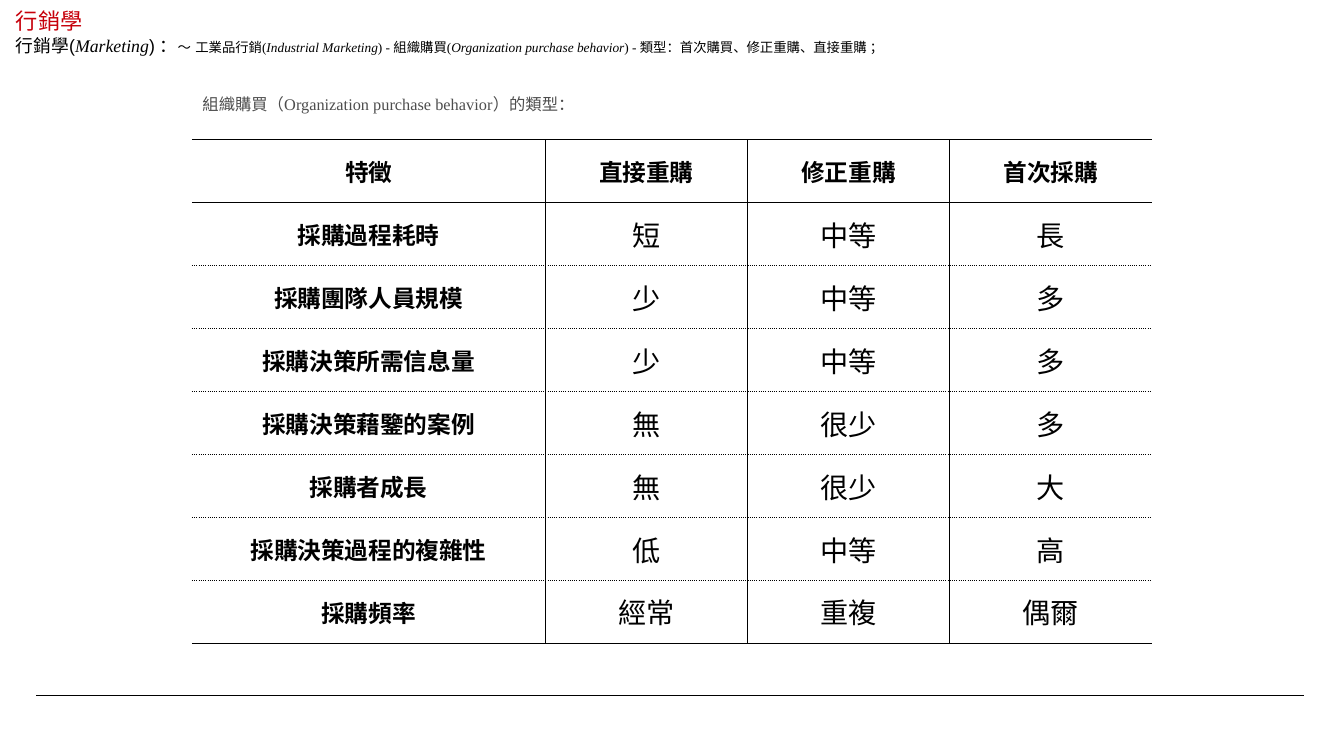
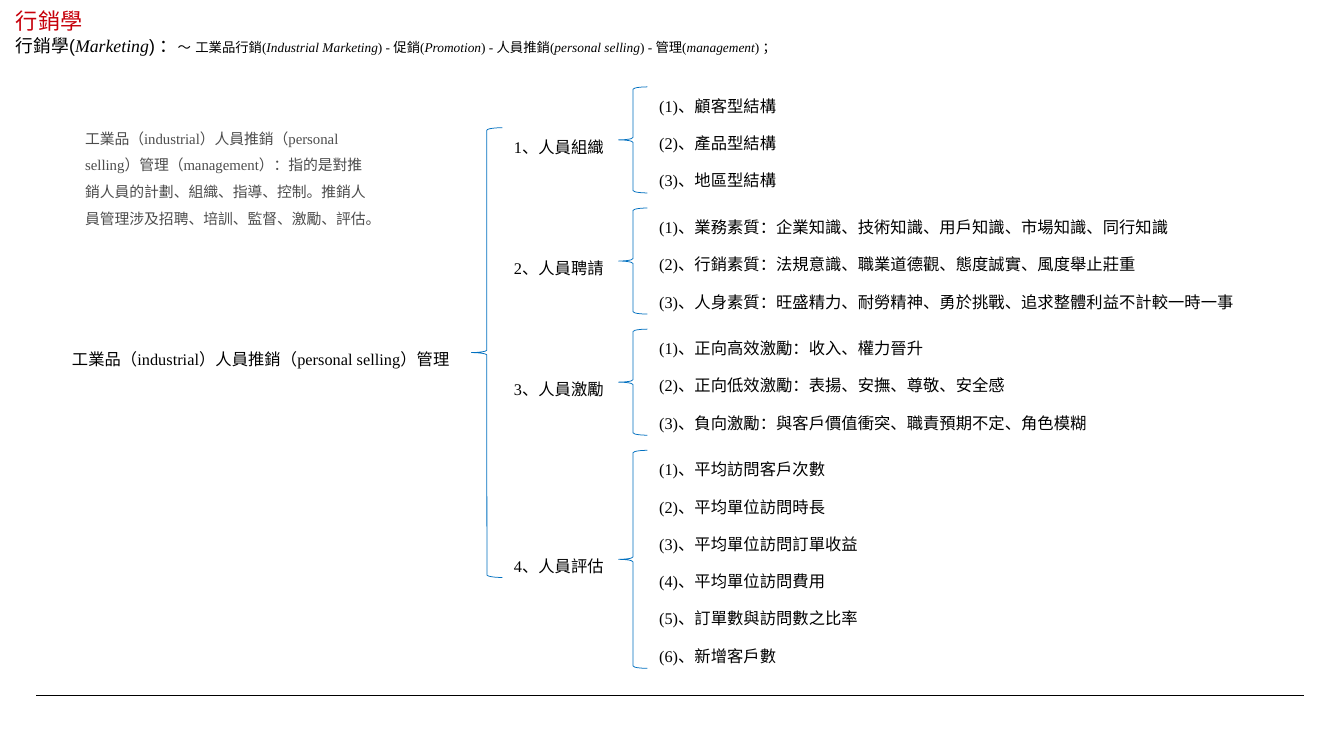
from lxml import etree
from pptx import Presentation
from pptx.dml.color import RGBColor
from pptx.enum import shapes, text
from pptx.oxml import ns
from pptx.util import Pt

BLACK, RED, GRAY, BLUE, WHITE = "000000", "C7000B", "4D4D4D", "0070C0", "FFFFFF"
SANS, SERIF, CJK = "Arial", "Times New Roman", "Noto Sans CJK SC"
LEFT, CENTER = text.PP_ALIGN.LEFT, text.PP_ALIGN.CENTER
LINE_H = 24.5


def rgb(value):
    return RGBColor.from_string(value)


def style(font, size, name, color=BLACK, bold=None):
    font.size, font.name, font.bold = Pt(size), name, bold
    font.color.rgb = rgb(color)


class Deck:
    """Holds the shared style and the current slide."""

    def __init__(self):
        self.prs = Presentation()
        self.prs.slide_width, self.prs.slide_height = Pt(907.2), Pt(510.5)

    def slide(self, topic):
        self.s = self.prs.slides.add_slide(self.prs.slide_layouts[6])
        self.line(24.5, 469.5, 880, 469.5)
        title = self.text("行銷學", 3.6, 5, 671, 17.3, 15, RED, name=SANS, spacing=None)
        title.vertical_anchor = text.MSO_ANCHOR.MIDDLE
        p = self.text("", 3.6, 18.7, 751, 23, 9, spacing=None).paragraphs[0]
        lead = [("行銷學(", 12, SANS, False), ("Marketing", 12, SERIF, True),
                (") ：", 12, SANS, False), ("～", 9, SANS, False), (" ", 13, SANS, False)]
        trail = [(part, 9, SERIF, i % 2 == 1) for i, part in enumerate(topic.split("*"))]
        for content, size, name, italic in lead + trail:
            r = p.add_run()
            r.text = content
            style(r.font, size, name)
            r.font.italic = italic

    def line(self, x1, y1, x2, y2):
        c = self.s.shapes.add_connector(shapes.MSO_CONNECTOR.STRAIGHT,
                                        Pt(x1), Pt(y1), Pt(x2), Pt(y2))
        c.line.color.rgb, c.line.width = rgb(BLACK), Pt(0.5)
        etree.SubElement(c._element.spPr, ns.qn("a:effectLst"))

    def text(self, content, x, y, w, h=LINE_H, size=11, color=BLACK,
             name=SERIF, align=LEFT, spacing=1.5):
        tf = self.s.shapes.add_textbox(Pt(x), Pt(y), Pt(w), Pt(h)).text_frame
        tf.word_wrap = True
        p = tf.paragraphs[0]
        p.text, p.alignment, p.line_spacing = content, align, spacing
        style(p.font, size, name, color)
        return tf

    def brace(self, x, y, w, h):
        sp = self.s.shapes.add_shape(shapes.MSO_SHAPE.LEFT_BRACE, Pt(x), Pt(y), Pt(w), Pt(h))
        sp.shadow.inherit = False
        sp.fill.background()
        sp.line.color.rgb, sp.line.width = rgb(BLUE), Pt(0.5)

    def border(self, cell, side, width, dash="solid"):
        ln = etree.SubElement(cell._tc.get_or_add_tcPr(), ns.qn(f"a:ln{side}"))
        if not width:
            etree.SubElement(ln, ns.qn("a:noFill"))
            return
        ln.set("w", str(Pt(width)))
        fill = etree.SubElement(ln, ns.qn("a:solidFill"))
        etree.SubElement(fill, ns.qn("a:srgbClr"), val=BLACK)
        etree.SubElement(ln, ns.qn("a:prstDash"), val=dash)

    def table(self, rows, x, y, widths, row_h):
        n = len(rows)
        frame = self.s.shapes.add_table(n, len(widths), Pt(x), Pt(y),
                                        Pt(sum(widths)), Pt(row_h * n))
        tbl = frame.table
        tbl.first_row = tbl.horz_banding = False
        across = [(1,), (0.75,)] + [(0.25, "sysDot")] * (n - 2) + [(1,)]
        down = [0, 0.75] + [0.5] * (len(widths) - 2) + [0]
        for col, width in zip(tbl.columns, widths):
            col.width = Pt(width)
        for i, row in enumerate(rows):
            tbl.rows[i].height = Pt(row_h)
            for j, content in enumerate(row):
                cell = tbl.cell(i, j)
                cell.margin_left = cell.margin_right = Pt(5)
                cell.margin_top = cell.margin_bottom = 0
                cell.vertical_anchor = text.MSO_ANCHOR.MIDDLE
                self.border(cell, "L", down[j])
                self.border(cell, "R", down[j + 1])
                self.border(cell, "T", *across[i])
                self.border(cell, "B", *across[i + 1])
                cell.fill.solid()
                cell.fill.fore_color.rgb = rgb(WHITE)
                p = cell.text_frame.paragraphs[0]
                p.text, p.alignment = content, CENTER
                heading = i == 0 or j == 0
                style(p.font, 16 if heading else 19, CJK, bold=heading)

    def group(self, label, items, y, step=25.2):
        for i, item in enumerate(items):
            self.text(f"({i + 1})、{item}", 437.8, y + i * step, 419)
        height = len(items) * step
        self.brace(417.6, y + 4, 19.4, height - 4)
        label_y = y + 2 + (height - LINE_H) / 2
        self.text(label, 339.8, label_y, 78)
        return label_y, y + height + 6.2


PURCHASE_TYPES = [
    ("特徵", "直接重購", "修正重購", "首次採購"),
    ("採購過程耗時", "短", "中等", "長"),
    ("採購團隊人員規模", "少", "中等", "多"),
    ("採購決策所需信息量", "少", "中等", "多"),
    ("採購決策藉鑒的案例", "無", "很少", "多"),
    ("採購者成長", "無", "很少", "大"),
    ("採購決策過程的複雜性", "低", "中等", "高"),
    ("採購頻率", "經常", "重複", "偶爾"),
]

STAFF_TOPICS = {
    "1、人員組織": ["顧客型結構", "產品型結構", "地區型結構"],
    "2、人員聘請": [
        "業務素質：企業知識、技術知識、用戶知識、市場知識、同行知識",
        "行銷素質：法規意識、職業道德觀、態度誠實、風度舉止莊重",
        "人身素質：旺盛精力、耐勞精神、勇於挑戰、追求整體利益不計較一時一事",
    ],
    "3、人員激勵": [
        "正向高效激勵：收入、權力晉升",
        "正向低效激勵：表揚、安撫、尊敬、安全感",
        "負向激勵：與客戶價值衝突、職責預期不定、角色模糊",
    ],
    "4、人員評估": [
        "平均訪問客戶次數", "平均單位訪問時長", "平均單位訪問訂單收益",
        "平均單位訪問費用", "訂單數與訪問數之比率", "新增客戶數",
    ],
}


def purchase_slide(deck):
    deck.slide("工業品行銷(*Industrial Marketing*) - 組織購買(*Organization purchase behavior*)"
               " - 類型：首次購買、修正重購、直接重購 ；")
    deck.text("組織購買（Organization purchase behavior）的類型：", 129.6, 53.3, 648, color=GRAY)
    deck.table(PURCHASE_TYPES, 129.6, 94.4, [238.5] + [136.5] * 3, 42.5)


def selling_slide(deck):
    deck.slide("工業品行銷(*Industrial Marketing*) - 促銷(*Promotion*) - "
               "人員推銷(*personal selling*) - 管理(*management*) ；")
    deck.text("工業品（industrial）人員推銷（personal selling）管理（management）："
              "指的是對推銷人員的計劃、組織、指導、控制。"
              "推銷人員管理涉及招聘、培訓、監督、激勵、評估。",
              50.4, 77.8, 209.5, 77.8, 10, GRAY)
    y, label_tops = 54.7, []
    for label, items in STAFF_TOPICS.items():
        label_y, y = deck.group(label, items, y)
        label_tops.append(label_y)
    top, bottom = label_tops[0] + 4, label_tops[-1] + LINE_H
    deck.brace(318.2, top, 20.9, bottom - top)
    deck.text("工業品（industrial）人員推銷（personal selling）管理",
              33.8, (top + bottom - LINE_H) / 2, 284.4, align=CENTER)


def main():
    deck = Deck()
    purchase_slide(deck)
    selling_slide(deck)
    deck.prs.save("out.pptx")


if __name__ == "__main__":
    main()
